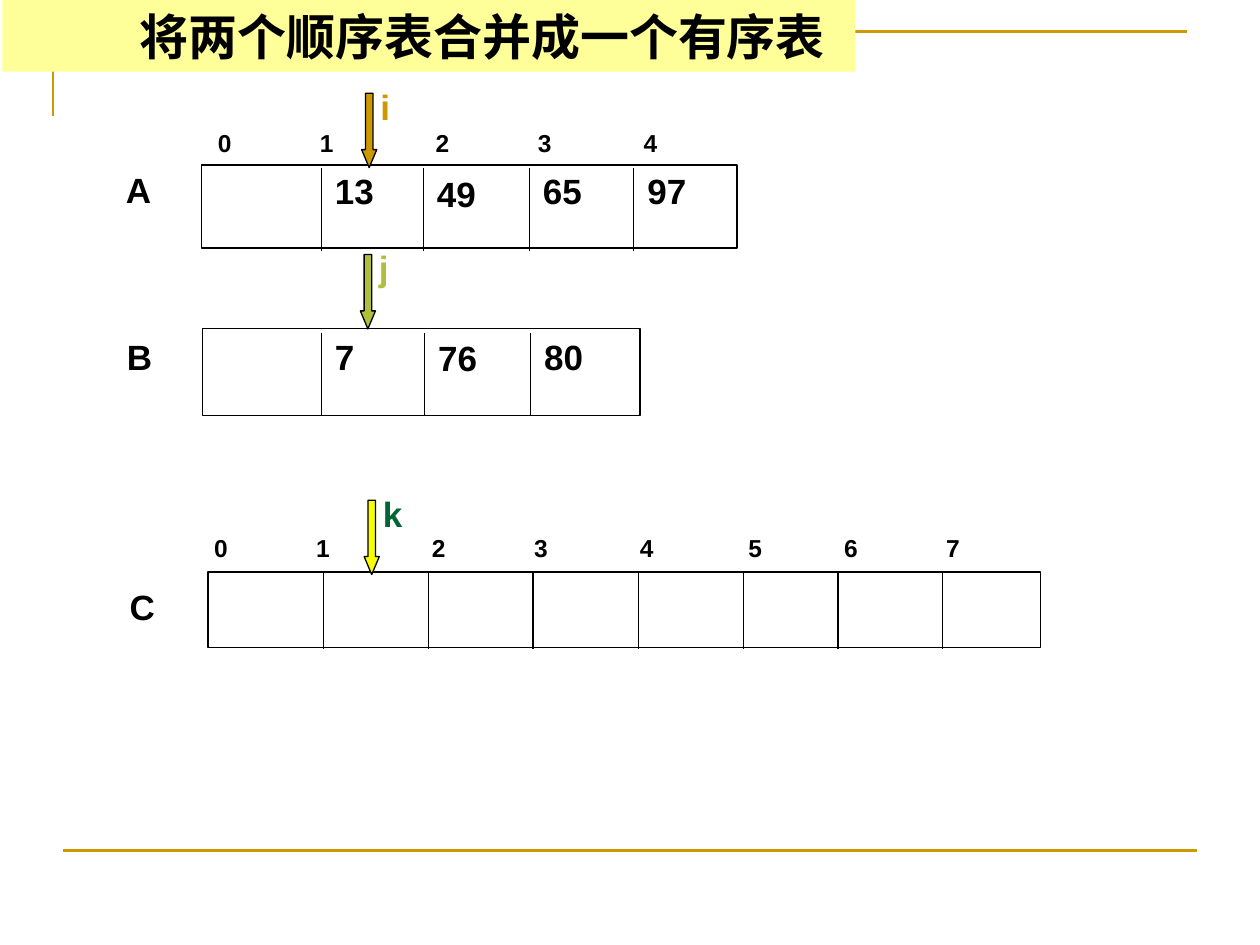
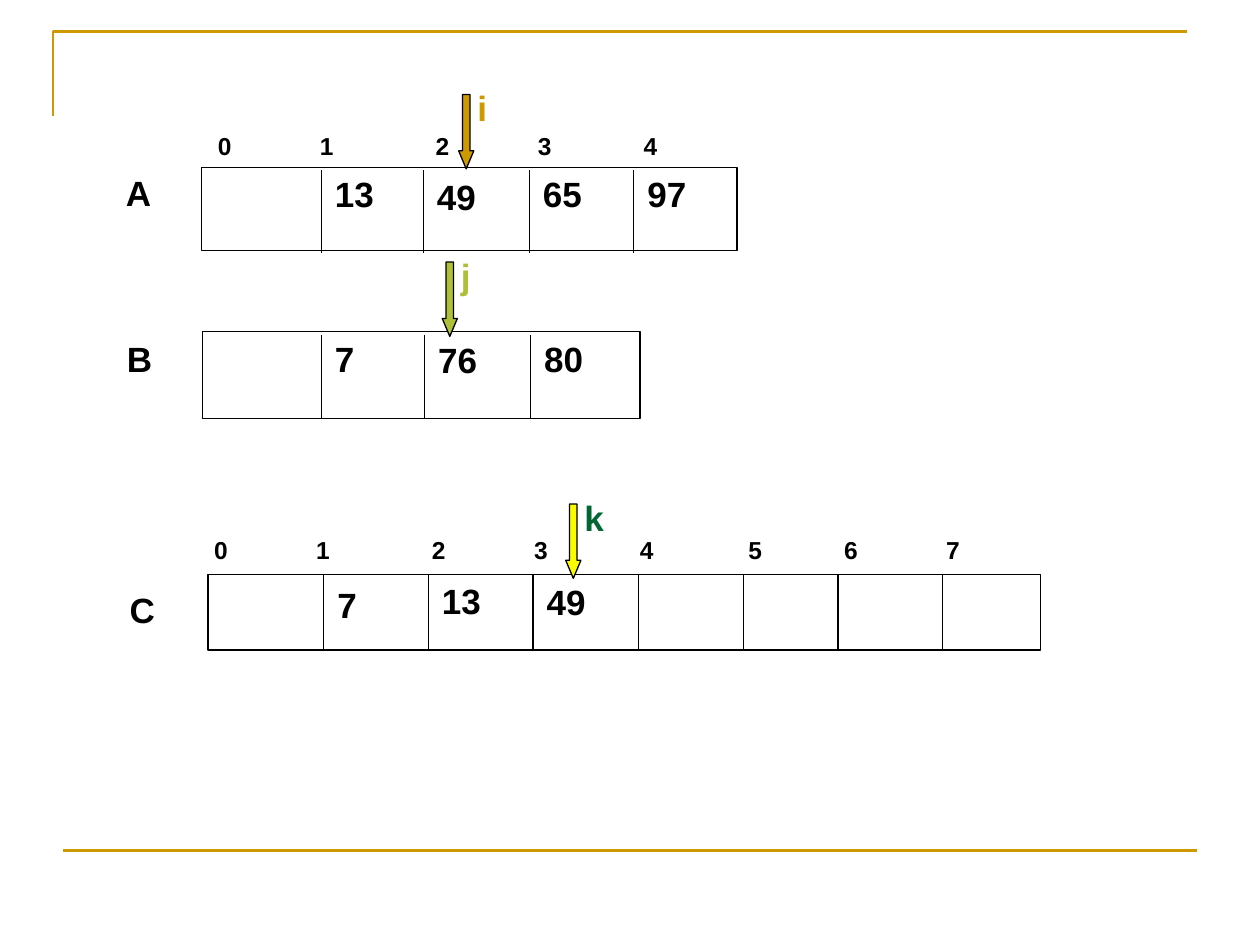
from lxml.etree import SubElement
from pptx import Presentation
from pptx.dml.color import RGBColor
from pptx.enum.shapes import MSO_CONNECTOR as Connector, MSO_SHAPE as Shape
from pptx.enum.text import MSO_ANCHOR as Anchor, MSO_AUTO_SIZE as AutoSize
from pptx.oxml.ns import qn
from pptx.util import Inches, Pt

COLORS = {
    "black": "000000", "white": "FFFFFF", "gold": "CC9900", "band": "FFFF99",
    "olive": "AFBF39", "yellow": "FAFD00", "green": "006633",
}
FONT = "Arial"
TITLE = "将两个顺序表合并成一个有序表"
TITLE_BAND = (0.02, 0, 6.77, 0.57)
CORNER = [(0.42, 0.92), (0.42, 0.25), (9.42, 0.25)]
FOOTER = [(0.5, 6.75), (9.5, 6.75)]
INDEX_STOPS = [0.81, 1.73, 2.54, 3.38, 4.24, 5.0, 5.81]

LISTS = {
    "A": {"box": (1.6, 1.31, 4.25, 0.66), "edges": [2.55, 3.36, 4.2, 5.03],
          "divider": (0.02, 0.66), "label": (0.9, 1.29), "index": (1.63, 0.97)},
    "B": {"box": (1.61, 2.61, 3.47, 0.69), "edges": [2.55, 3.37, 4.21],
          "divider": (0.03, 0.66), "label": (0.91, 2.61), "index": None},
    "C": {"box": (1.65, 4.54, 6.61, 0.6), "edges": [2.57, 3.4, 4.23, 5.07, 5.9, 6.65, 7.48],
          "divider": (0, 0.61), "label": (0.93, 4.6), "index": (1.6, 4.18)},
}
SORTED_INPUT = {
    "A": [("13", -0.01), ("49", 0.01), ("65", -0.01), ("97", -0.01)],
    "B": [("7", 0), ("76", 0.01), ("80", 0)],
}
POINTERS = {"i": ("gold", "gold"), "j": ("olive", "olive"), "k": ("yellow", "green")}
STEPS = [
    {"title": TITLE, "drop": 0, "values": SORTED_INPUT,
     "pointers": {"i": (2.87, 0.74), "j": (2.86, 2.02), "k": (2.89, 3.97)}},
    {"title": None, "drop": 0.02,
     "values": {**SORTED_INPUT, "C": [("7", 0.02), ("13", -0.01), ("49", 0)]},
     "pointers": {"i": (3.64, 0.75), "j": (3.51, 2.08), "k": (4.49, 4.0)}},
]


def rgb(name):
    return RGBColor.from_string(COLORS[name])


def apply(target, settings):
    for name, value in settings.items():
        setattr(target, name, value)


def add_line(page, start, end, color="black", width=0.75):
    line = page.shapes.add_connector(
        Connector.STRAIGHT, *(Inches(value) for value in (*start, *end)))
    line.line.color.rgb = rgb(color)
    line.line.width = Pt(width)
    SubElement(line._element.spPr, qn("a:effectLst"))


def add_block(shapes, kind, place, fill, outlined=True):
    block = shapes.add_shape(kind, *(Inches(value) for value in place))
    block.shadow.inherit = False
    block.fill.solid()
    block.fill.fore_color.rgb = rgb(fill)
    if outlined:
        block.line.color.rgb = rgb("black")
        block.line.width = Pt(0.75)
    else:
        block.line.fill.background()
    return block


def write(box, text, size=20, color="black", stops=(), **frame_format):
    frame = box.text_frame
    apply(frame, {"word_wrap": True, "auto_size": AutoSize.SHAPE_TO_FIT_TEXT, **frame_format})
    para = frame.paragraphs[0]
    para.text = text
    para.alignment = 1
    if stops:
        tabs = SubElement(para._p.get_or_add_pPr(), qn("a:tabLst"))
        for stop in stops:
            SubElement(tabs, qn("a:tab"), pos=str(Inches(stop)), algn="l")
    span = para.runs[0]
    apply(span.font, {"name": FONT, "size": Pt(size), "bold": True})
    span.font.color.rgb = rgb(color)


def add_text(shapes, place, text, **text_format):
    write(shapes.add_textbox(*(Inches(value) for value in place)), text, **text_format)


def add_frame(page):
    builder = page.shapes.build_freeform(*(Inches(value) for value in CORNER[0]))
    builder.add_line_segments([(Inches(x), Inches(y)) for x, y in CORNER[1:]], close=False)
    corner = builder.convert_to_shape()
    corner.shadow.inherit = False
    corner.fill.background()
    corner.line.color.rgb = rgb("gold")
    corner.line.width = Pt(1.5)
    add_line(page, *FOOTER, color="gold", width=1.5)


def add_title(page, title):
    band = add_block(page.shapes, Shape.RECTANGLE, TITLE_BAND, "band", outlined=False)
    write(band, title, size=28, margin_left=Inches(1.09), vertical_anchor=Anchor.MIDDLE)


def add_list(page, name, layout, values, drop):
    left, top, width, height = layout["box"]
    top += drop
    edges = layout["edges"]
    add_block(page.shapes, Shape.RECTANGLE, (left, top, width, height), "white")
    offset, length = layout["divider"]
    for x in edges:
        add_line(page, (x, top + offset), (x, top + offset + length))
    for x, (value, nudge) in zip(edges, values):
        add_text(page.shapes, (x + 0.01, top + nudge, 0.67, 0.44), value)
    x, y = layout["label"]
    add_text(page.shapes, (x, y + drop, 0.67, 0.44), name)
    if layout["index"]:
        x, y = layout["index"]
        numbers = "\t".join(str(number) for number in range(len(edges) + 1))
        add_text(page.shapes, (x, y + drop, width, 0.34), numbers,
                 size=14, stops=INDEX_STOPS[:len(edges)])


def add_pointer(page, name, x, y):
    fill, color = POINTERS[name]
    group = page.shapes.add_group_shape()
    arrow = add_block(group.shapes, Shape.DOWN_ARROW, (x, y, 0.12, 0.59), fill)
    arrow.adjustments[0] = 0.5
    arrow.adjustments[1] = 1.19
    add_text(group.shapes, (x + 0.05, y - 0.11, 0.53, 0.44), name, color=color)


def main():
    deck = Presentation()
    deck.slide_width, deck.slide_height = Inches(10), Inches(7.5)
    for step in STEPS:
        page = deck.slides.add_slide(deck.slide_layouts[6])
        add_frame(page)
        if step["title"]:
            add_title(page, step["title"])
        for name, layout in LISTS.items():
            add_list(page, name, layout, step["values"].get(name, []), step["drop"])
        for name, (x, y) in step["pointers"].items():
            add_pointer(page, name, x, y)
    deck.save("out.pptx")


if __name__ == "__main__":
    main()
